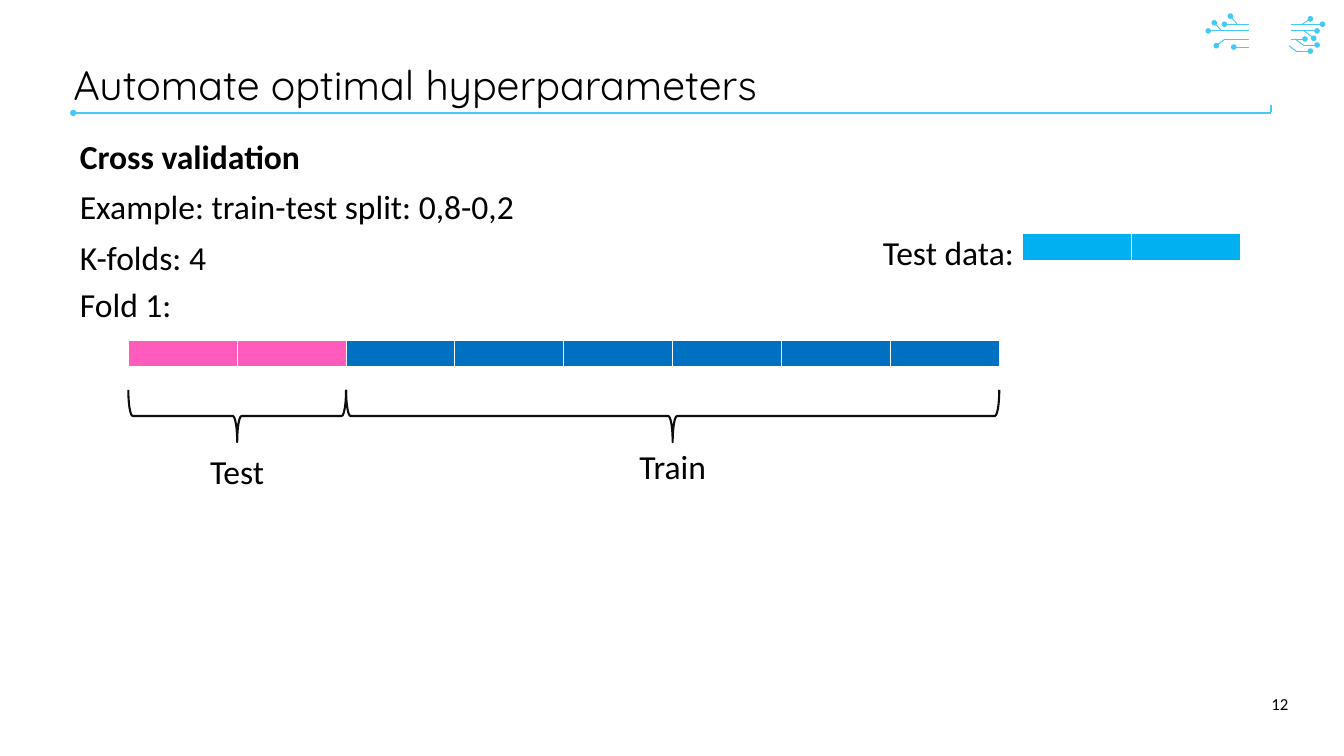
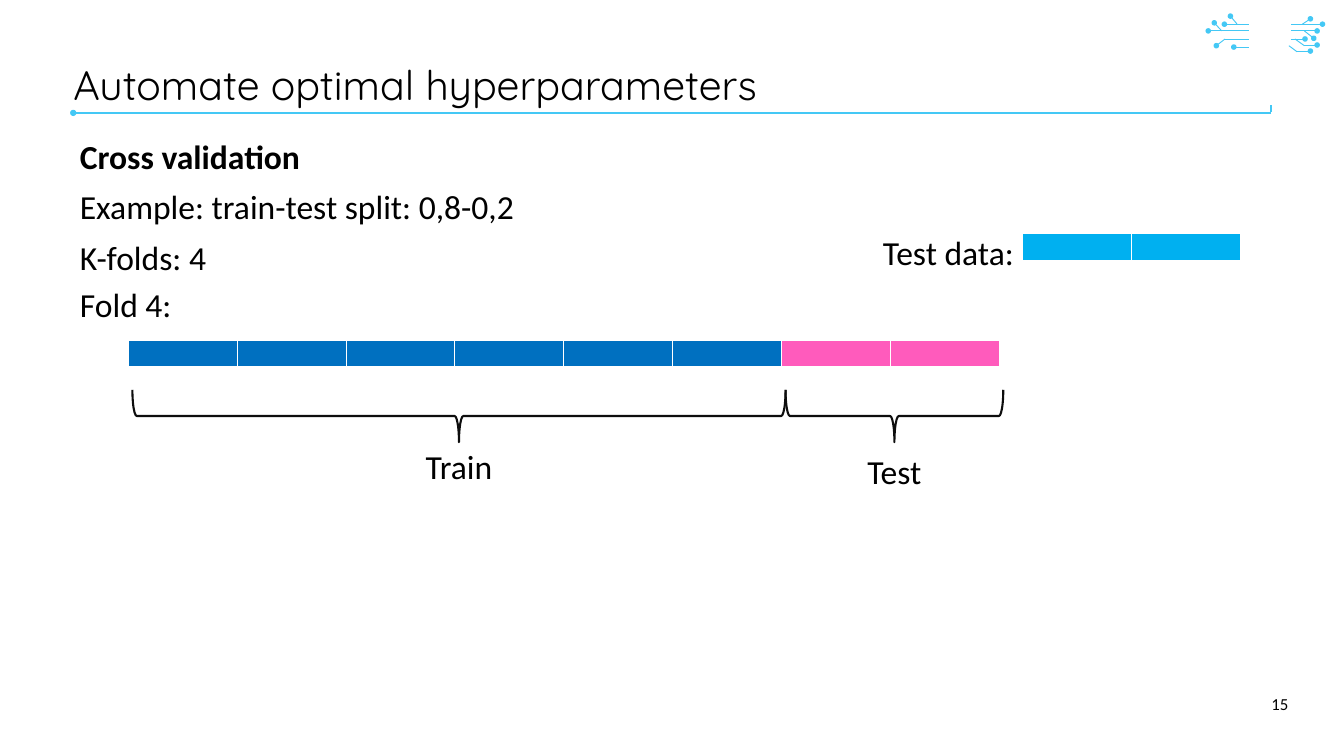
from dataclasses import dataclass
from typing import NamedTuple

from pptx import Presentation
from pptx.dml.color import RGBColor
from pptx.enum.shapes import MSO_CONNECTOR, MSO_SHAPE
from pptx.enum.text import MSO_ANCHOR, PP_ALIGN
from pptx.oxml import parse_xml
from pptx.oxml.ns import nsdecls, qn
from pptx.oxml.xmlchemy import OxmlElement
from pptx.slide import Slide
from pptx.util import Inches, Pt


@dataclass(frozen=True)
class Theme:
    accent: str = "44C8F5"
    ink: str = "000000"
    brace: str = "0D0D0D"
    grid: str = "FFFFFF"
    train: str = "0070C0"
    validation: str = "FF5BBC"
    test_data: str = "00B0F0"
    body_font: str = "Calibri"
    title_font: str = "Quicksand"
    title_size: float = 44
    body_size: float = 36
    number_size: float = 18
    thin: float = 1
    thick: float = 2.25


class Box(NamedTuple):
    left: float
    top: float
    width: float
    height: float


class Trace(NamedTuple):
    """A circuit line, with an optional dot at its end."""
    x1: float
    y1: float
    x2: float
    y2: float
    dot: bool = True


class Segment(NamedTuple):
    """A labelled run of equal cells in the data bar."""
    label: str
    cells: int
    color: str
    label_top: float
    label_width: float


class Fold(NamedTuple):
    number: int
    page_number: int
    segments: tuple[Segment, ...]
    brace_left: float


THEME = Theme()
TITLE = "Automate optimal hyperparameters"
BODY = ("Cross validation", "Example: train-test split: 0,8-0,2", "K-folds: 4")
MARGIN = 1.09
RULE_RIGHT = 18.91
CELL_WIDTH = 1.62
BAR_HEIGHT = 0.41
BRACE_TOP = 5.8
BRACE_HEIGHT = 0.78
LABEL_HEIGHT = 0.71

TEST = Segment("Test", 2, THEME.validation, 6.66, 1.04)
TRAIN = Segment("Train", 6, THEME.train, 6.59, 3.07)
FOLDS = (
    Fold(1, 12, (TEST, TRAIN), 1.91),
    Fold(4, 15, (TRAIN, TEST), 1.97),
)
CIRCUIT = (
    Trace(18.58, 0.36, 18.22, 0.36),
    Trace(18.58, 0.46, 17.98, 0.46),
    Trace(18.58, 0.58, 18.22, 0.58, dot=False),
    Trace(18.23, 0.58, 18.1, 0.68),
    Trace(18.58, 0.7, 18.36, 0.7),
    Trace(18.41, 0.36, 18.31, 0.24),
    Trace(18.18, 0.46, 18.07, 0.34),
    Trace(19.21, 0.46, 19.6, 0.46),
    Trace(19.41, 0.68, 19.27, 0.58, dot=False),
    Trace(19.4, 0.67, 19.6, 0.67),
    Trace(19.21, 0.58, 19.42, 0.58),
    Trace(19.41, 0.46, 19.55, 0.57),
    Trace(19.21, 0.36, 19.68, 0.36),
    Trace(19.3, 0.77, 19.18, 0.68, dot=False),
    Trace(19.3, 0.76, 19.5, 0.76),
    Trace(19.38, 0.36, 19.5, 0.28),
)
TITLE_RULE = (
    Trace(RULE_RIGHT, 1.68, MARGIN, 1.68),
    Trace(RULE_RIGHT, 1.67, RULE_RIGHT, 1.57, dot=False),
)


def add_trace(page: Slide, trace: Trace, weight: float) -> None:
    ends = (Inches(value) for value in trace[:4])
    connector = page.shapes.add_connector(MSO_CONNECTOR.STRAIGHT, *ends)
    connector.line.color.rgb = RGBColor.from_string(THEME.accent)
    connector.line.width = Pt(weight)
    properties = connector.element.spPr
    if trace.dot:
        tail = OxmlElement("a:tailEnd")
        tail.set("type", "oval")
        properties.find(qn("a:ln")).append(tail)
    properties.append(OxmlElement("a:effectLst"))


def add_text(page: Slide, box: Box, *lines: str, size: float = THEME.body_size,
             font: str = THEME.body_font, align: PP_ALIGN = PP_ALIGN.LEFT,
             anchor: MSO_ANCHOR = MSO_ANCHOR.TOP, line_spacing: float = 1,
             space_before: float = 0, inset: bool = True, bold_first: bool = False) -> None:
    frame = page.shapes.add_textbox(*map(Inches, box)).text_frame
    frame.word_wrap = True
    frame.vertical_anchor = anchor
    if not inset:
        frame.margin_left = frame.margin_top = frame.margin_right = frame.margin_bottom = 0
    frame.text = "\n".join(lines)
    for index, para in enumerate(frame.paragraphs):
        para.alignment = align
        para.line_spacing = line_spacing
        para.space_before = Pt(space_before if index else 0)
        para.font.name = font
        para.font.size = Pt(size)
        para.font.bold = bold_first and index == 0
        para.font.color.rgb = RGBColor.from_string(THEME.ink)


def add_bar(page: Slide, left: float, top: float, colors: list[str]) -> None:
    """Draw a one-row table with one cell for each colour."""
    count = len(colors)
    table = page.shapes.add_table(1, count, Inches(left), Inches(top),
                                  Inches(CELL_WIDTH * count), Inches(BAR_HEIGHT)).table
    table.first_row = table.horz_banding = False
    for cell, color in zip(table.rows[0].cells, colors):
        properties = cell._tc.get_or_add_tcPr()
        for side, weight in (("L", 1), ("R", 1), ("T", 1), ("B", 3)):
            properties.append(parse_xml(
                f'<a:ln{side} {nsdecls("a")} w="{Pt(weight)}"><a:solidFill>'
                f'<a:srgbClr val="{THEME.grid}"/></a:solidFill></a:ln{side}>'))
        cell.fill.solid()
        cell.fill.fore_color.rgb = RGBColor.from_string(color)


def add_brace(page: Slide, left: float, width: float) -> None:
    """Draw a brace that opens upwards over the given width."""
    middle_x, middle_y = left + width / 2, BRACE_TOP + BRACE_HEIGHT / 2
    brace = page.shapes.add_shape(
        MSO_SHAPE.LEFT_BRACE, Inches(middle_x - BRACE_HEIGHT / 2),
        Inches(middle_y - width / 2), Inches(BRACE_HEIGHT), Inches(width))
    brace.rotation = 270
    brace.shadow.inherit = False
    brace.fill.background()
    brace.line.color.rgb = RGBColor.from_string(THEME.brace)
    brace.line.width = Pt(THEME.thick)


def add_frame(page: Slide, page_number: int) -> None:
    """Draw the circuit ornament, title, rule and page number."""
    for trace in CIRCUIT:
        add_trace(page, trace, THEME.thin)
    for trace in TITLE_RULE:
        add_trace(page, trace, THEME.thick)
    add_text(page, Box(MARGIN, 0.97, 16.39, 0.69), TITLE, size=THEME.title_size,
             font=THEME.title_font, line_spacing=0.9, inset=False)
    add_text(page, Box(18.18, 10.18, 1.09, 0.6), str(page_number), size=THEME.number_size,
             align=PP_ALIGN.RIGHT, anchor=MSO_ANCHOR.MIDDLE)


def add_fold_page(page: Slide, fold: Fold) -> None:
    add_frame(page, fold.page_number)
    add_text(page, Box(MARGIN, 2.04, 18.13, 6.68), *BODY,
             line_spacing=0.9, space_before=15, bold_first=True)
    add_text(page, Box(MARGIN, 4.17, 3.62, LABEL_HEIGHT), f"Fold {fold.number}:")
    add_bar(page, 1.91, 5.06,
            [segment.color for segment in fold.segments for _ in range(segment.cells)])
    add_text(page, Box(13.04, 3.4, 2.18, LABEL_HEIGHT), "Test data:")
    add_bar(page, 15.22, 3.48, [THEME.test_data] * 2)
    left = fold.brace_left
    for segment in fold.segments:
        width = segment.cells * CELL_WIDTH
        add_brace(page, left, width)
        label_left = left + (width - segment.label_width) / 2
        add_text(page, Box(label_left, segment.label_top, segment.label_width, LABEL_HEIGHT),
                 segment.label, align=PP_ALIGN.CENTER)
        left += width


def main() -> None:
    deck = Presentation()
    deck.slide_width, deck.slide_height = Inches(20), Inches(11.25)
    blank = deck.slide_layouts[6]
    for fold in FOLDS:
        add_fold_page(deck.slides.add_slide(blank), fold)
    deck.save("out.pptx")


if __name__ == "__main__":
    main()
